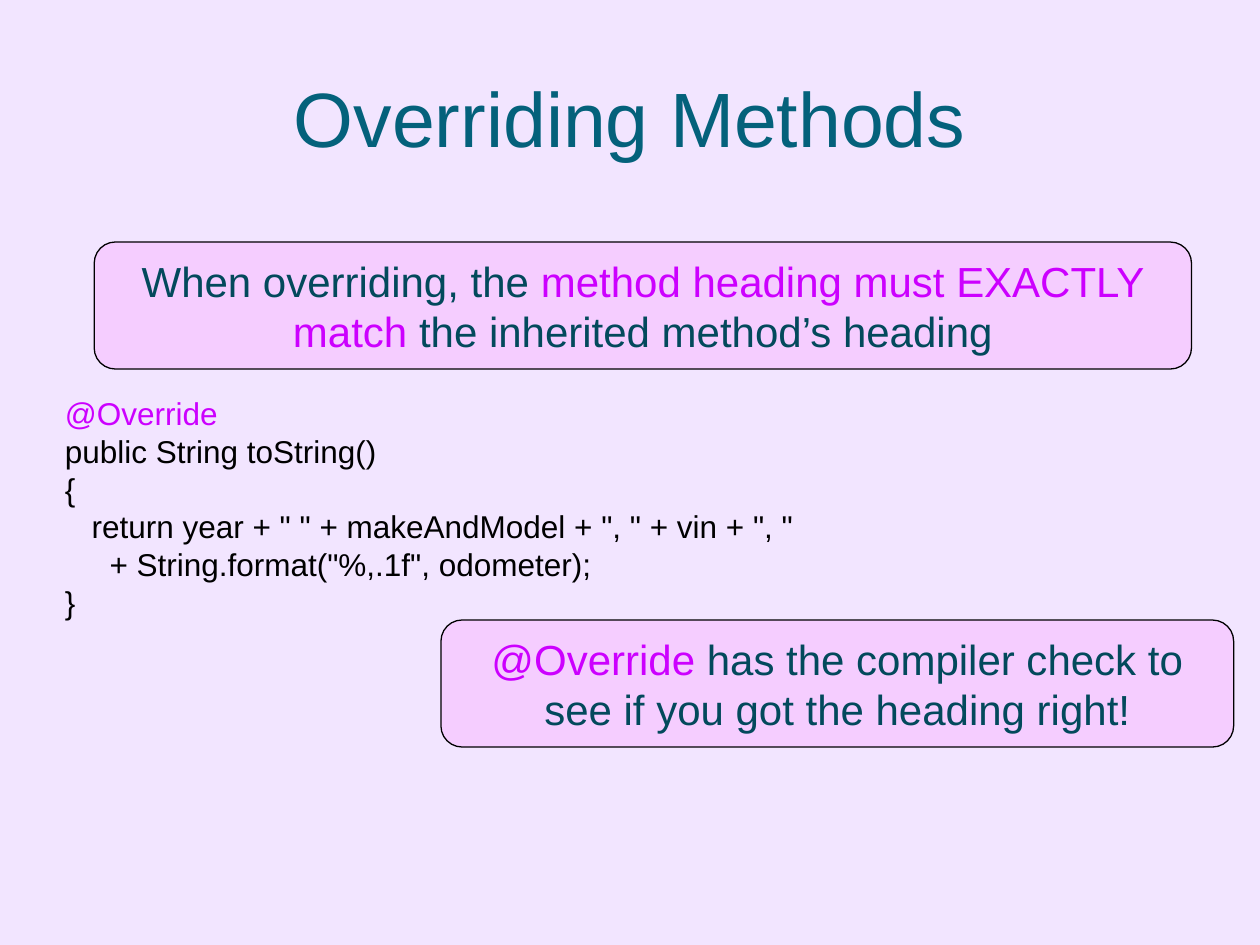
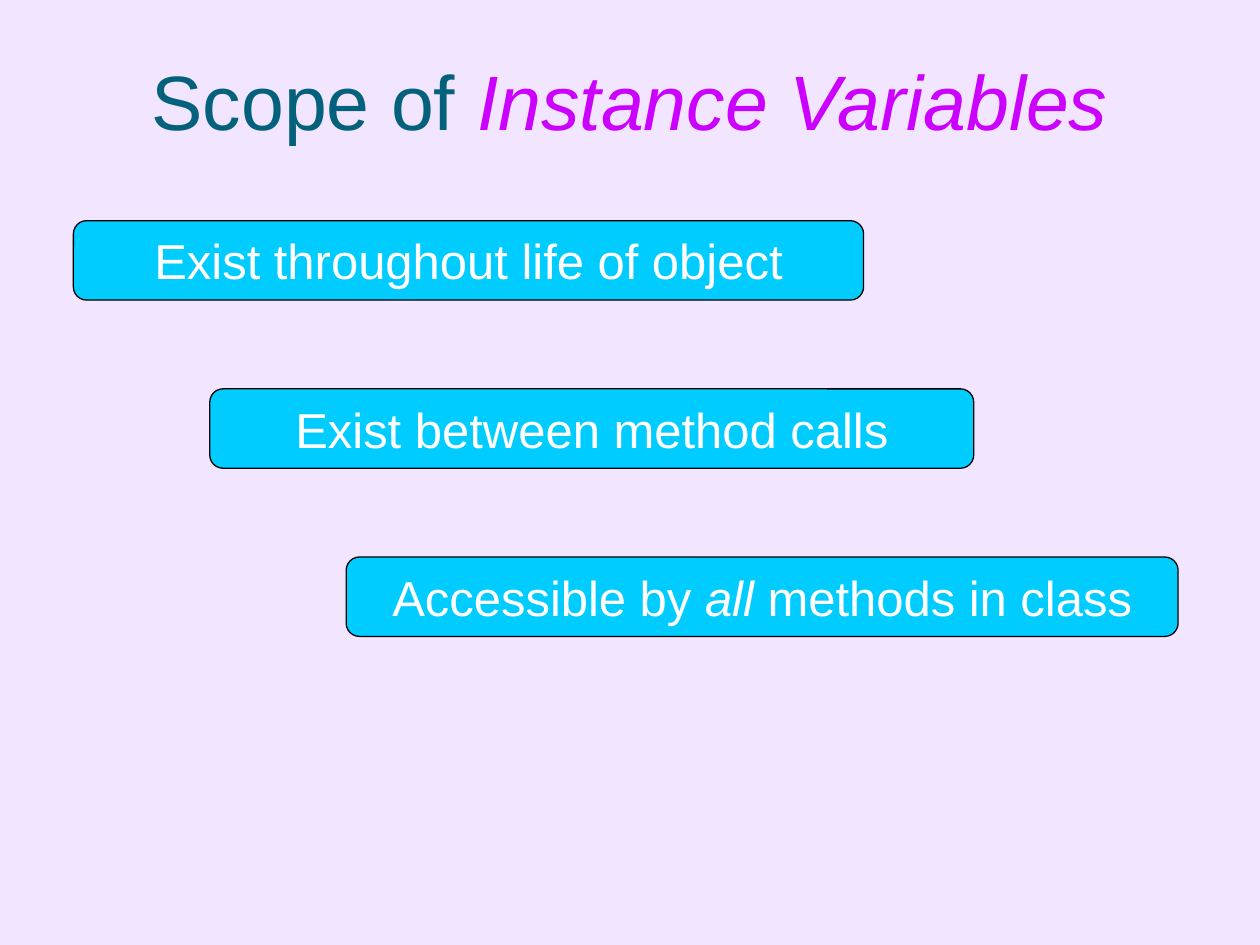
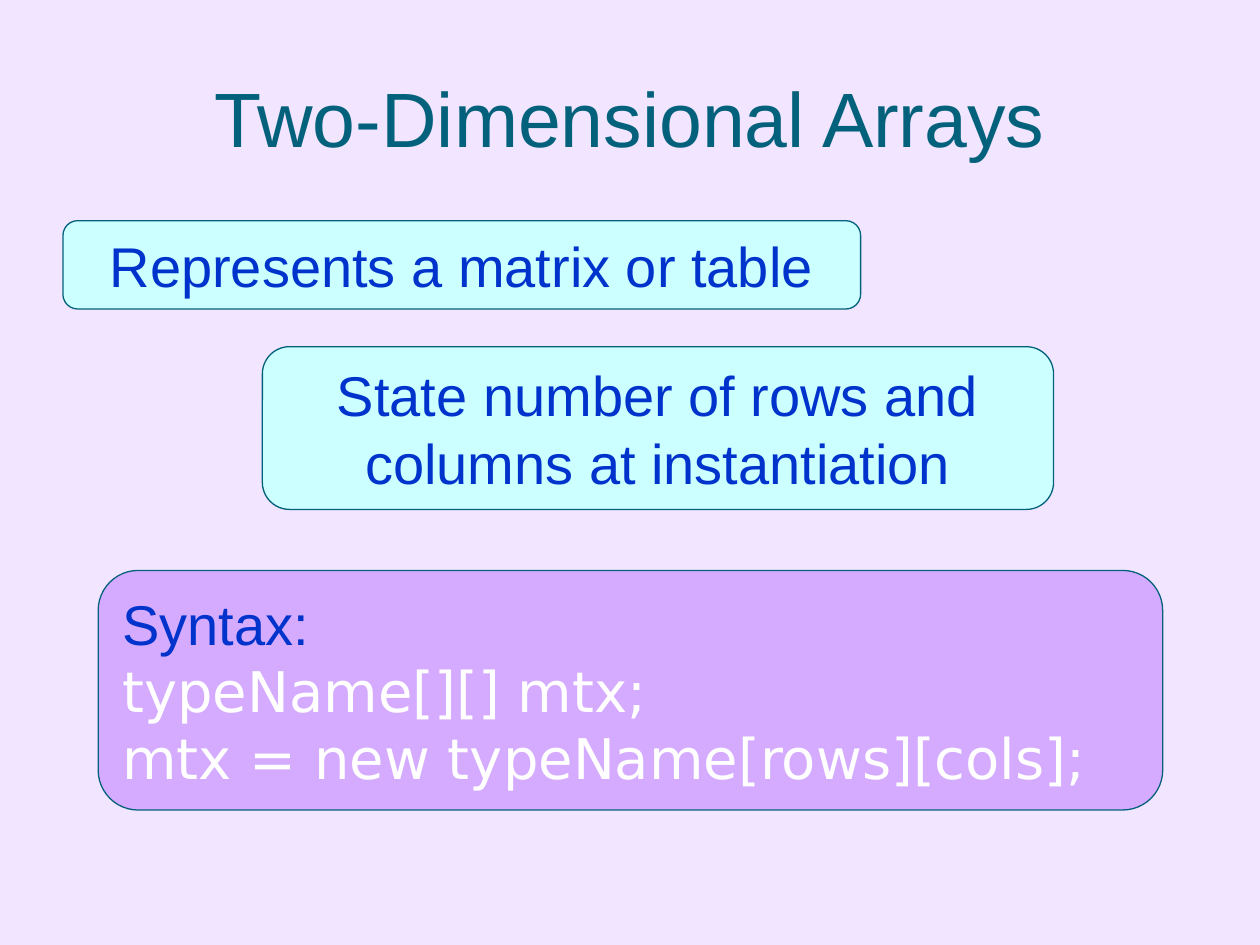
from pptx import Presentation
from pptx.dml.color import RGBColor
from pptx.enum.shapes import MSO_SHAPE
from pptx.enum.text import MSO_ANCHOR, PP_ALIGN
from pptx.util import Cm, Pt

ROUNDED = MSO_SHAPE.ROUNDED_RECTANGLE
MIDDLE, TOP = MSO_ANCHOR.MIDDLE, MSO_ANCHOR.TOP
CENTER, LEFT = PP_ALIGN.CENTER, PP_ALIGN.LEFT

# Colours and fonts
LAVENDER = RGBColor(0xF2, 0xE5, 0xFF)
TEAL = RGBColor(0x04, 0x61, 0x7B)
DARK_TEAL = RGBColor(0x03, 0x49, 0x5C)
MAGENTA = RGBColor(0xCC, 0x00, 0xFF)
PINK = RGBColor(0xF5, 0xCD, 0xFF)
CYAN = RGBColor(0x00, 0xCC, 0xFF)
PALE_CYAN = RGBColor(0xCC, 0xFF, 0xFF)
VIOLET = RGBColor(0xD5, 0xAB, 0xFF)
BLUE = RGBColor(0x00, 0x33, 0xCC)
BLACK = RGBColor(0x00, 0x00, 0x00)
WHITE = RGBColor(0xFF, 0xFF, 0xFF)
SANS, CODE_FONT = "Arial", "DejaVu Sans"

# Box styles
NOTE = {"fill": PINK, "line": BLACK, "size": 24, "color": DARK_TEAL}
SCOPE = {"fill": CYAN, "line": BLACK, "size": 28, "color": WHITE}
ARRAY = {"fill": PALE_CYAN, "line": TEAL, "size": 32, "color": BLUE}
SYNTAX = {**ARRAY, "fill": VIOLET}

# Content: a paragraph is a list of runs, a run is (text, changed format)
HOT = {"color": MAGENTA}
ITALIC = {"italic": True}
MONO = {"font": CODE_FONT, "color": WHITE}

OVERRIDE_NOTES = [
    ((1.9, 4.88, 22.12, 2.56),
     [("When overriding, the ", {}),
      ("method heading must EXACTLY match", HOT),
      (" the inherited method’s heading", {})]),
    ((8.89, 12.5, 15.98, 2.56),
     [("@Override ", HOT),
      ("has the compiler check to see if you got the heading right!", {})]),
]
OVERRIDE_CODE = [  # indent in characters, text, format
    (0, "@Override", HOT),
    (0, "public String toString()", {}),
    (0, "{", {}),
    (3, 'return year + " " + makeAndModel + ", " + vin + ", "', {}),
    (5, '+ String.format("%,.1f", odometer);', {}),
    (0, "}", {}),
]
SCOPE_FACTS = [  # box width, runs
    (15.93, [("Exist throughout life of object", {})]),
    (15.4, [("Exist between method calls", {})]),
    (16.77, [("Accessible by ", {}), ("all", ITALIC),
             (" methods in class", {})]),
]
ARRAY_BOXES = [
    ((1.27, 4.45, 16.08, 1.78), ARRAY, CENTER,
     [[("Represents a matrix or table", {})]]),
    ((5.29, 6.99, 15.95, 3.28), ARRAY, CENTER,
     [[("State number of rows and columns at instantiation", {})]]),
    ((1.98, 11.5, 21.46, 4.83), SYNTAX, LEFT,
     [[("Syntax:", {})],
      [("typeName[][] mtx;", MONO)],
      [("mtx = new typeName[rows][cols];", MONO)]]),
]


def write(sp, paragraphs, size, color, align=LEFT, anchor=MIDDLE):
    tf = sp.text_frame
    tf.word_wrap = True
    tf.vertical_anchor = anchor
    for i, runs in enumerate(paragraphs):
        p = tf.paragraphs[0] if i == 0 else tf.add_paragraph()
        p.alignment = align
        for text, changes in runs:
            look = {"font": SANS, "color": color, "italic": False, **changes}
            r = p.add_run()
            r.text = text
            r.font.color.rgb = look["color"]
            for name, value in {"name": look["font"], "size": Pt(size),
                                "italic": look["italic"]}.items():
                setattr(r.font, name, value)
    return tf


def add_text(s, place, *args, **kwargs):
    return write(s.shapes.add_textbox(*map(Cm, place)), *args, **kwargs)


def add_box(s, place, style, paragraphs, align=CENTER):
    sp = s.shapes.add_shape(ROUNDED, *map(Cm, place))
    sp.shadow.inherit = False
    sp.fill.solid()
    sp.fill.fore_color.rgb = style["fill"]
    sp.line.color.rgb = style["line"]
    sp.line.width = Pt(0.75)
    write(sp, paragraphs, style["size"], style["color"], align)


def add_slide(prs, title, top=0.76):
    s = prs.slides.add_slide(prs.slide_layouts[6])
    s.background.fill.solid()
    s.background.fill.fore_color.rgb = LAVENDER
    add_text(s, (1.27, top, 22.86, 3.18), [title], 44, TEAL, CENTER)
    return s


def main():
    prs = Presentation()
    prs.slide_width, prs.slide_height = Cm(25.4), Cm(19.05)

    # Overriding methods: code listing between two notes
    s = add_slide(prs, [("Overriding Methods", {})])
    tf = add_text(s, (0.53, 7.82, 23.06, 6.4),
                  [[(text, look)] for _, text, look in OVERRIDE_CODE],
                  18, BLACK, anchor=TOP)
    for p, (indent, _, _) in zip(tf.paragraphs, OVERRIDE_CODE):
        p._p.get_or_add_pPr().set("marL", str(Cm(0.53 + 0.18 * indent)))
    for place, runs in OVERRIDE_NOTES:
        add_box(s, place, NOTE, [runs])

    # Scope of instance variables: boxes in a descending staircase
    s = add_slide(prs, [("Scope of ", {}),
                        ("Instance Variables", {**HOT, **ITALIC})], top=0.43)
    for i, (width, runs) in enumerate(SCOPE_FACTS):
        add_box(s, (1.48 + 2.75 * i, 4.45 + 3.39 * i, width, 1.6),
                SCOPE, [runs])

    # Two-dimensional arrays
    s = add_slide(prs, [("Two-Dimensional Arrays", {})])
    for place, style, align, paragraphs in ARRAY_BOXES:
        add_box(s, place, style, paragraphs, align)

    prs.save("out.pptx")


if __name__ == "__main__":
    main()
